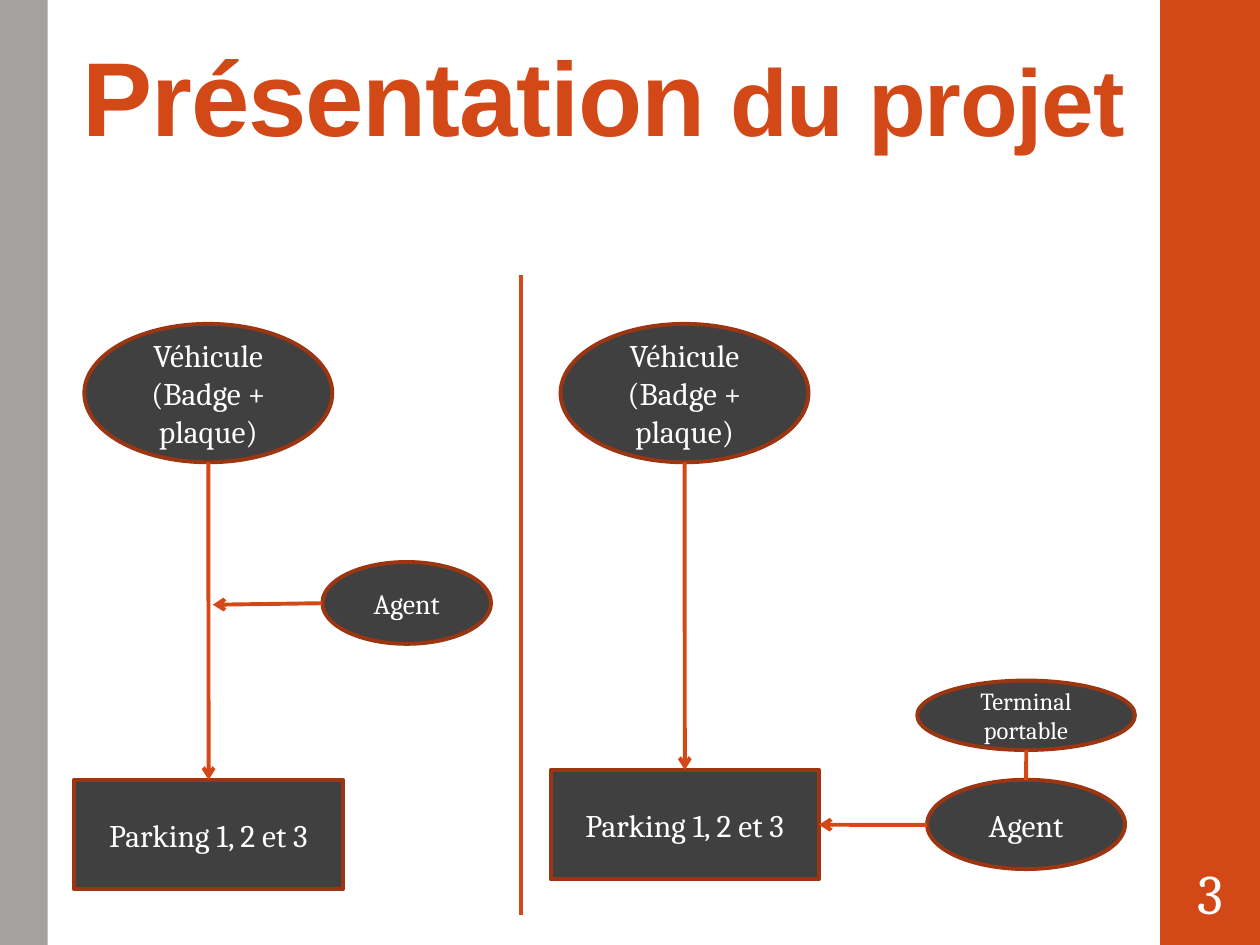
from lxml import etree
from pptx import Presentation
from pptx import util as u
from pptx.dml.color import RGBColor
from pptx.enum import shapes, text
from pptx.oxml.ns import qn

ORANGE, DARK, RUST, GREY, WHITE = "D34817", "404040", "9C3511", "A6A1A1", "FFFFFF"
OVAL, RECT = shapes.MSO_SHAPE.OVAL, shapes.MSO_SHAPE.RECTANGLE
VEHICLE = ["Véhicule", "(Badge + plaque)"]
PARKING = ["Parking 1, 2 et 3"]


def rgb(value):
    """Return the colour for a hex string."""
    return RGBColor.from_string(value)


def cm(*values):
    """Convert centimetres to lengths."""
    return [u.Cm(v) for v in values]


def write(tf, lines, size):
    """Write centred white Cambria paragraphs in a text frame."""
    tf.word_wrap = True
    tf.vertical_anchor = text.MSO_ANCHOR.MIDDLE
    for i, line in enumerate(lines):
        p = tf.add_paragraph() if i else tf.paragraphs[0]
        p.text = line
        p.alignment = text.PP_ALIGN.CENTER
        p.font.name, p.font.size = "Cambria", u.Pt(size)
        p.font.color.rgb = rgb(WHITE)


def add_bar(s, left, width, height, color):
    """Add a plain vertical side bar."""
    sp = s.shapes.add_shape(RECT, *cm(left, 0, width, height))
    sp.shadow.inherit = False
    sp.fill.solid()
    sp.fill.fore_color.rgb = rgb(color)
    sp.line.fill.background()


def add_node(s, kind, left, top, width, height, lines, size=18):
    """Add a dark labelled node of the diagram."""
    sp = s.shapes.add_shape(kind, *cm(left, top, width, height))
    sp.shadow.inherit = False
    sp.fill.solid()
    sp.fill.fore_color.rgb = rgb(DARK)
    sp.line.color.rgb = rgb(RUST)
    sp.line.width = u.Pt(2.25)
    write(sp.text_frame, lines, size)
    return sp


def add_line(s, x1, y1, x2, y2, arrow=True):
    """Add an orange line, with an arrowhead at its end if asked."""
    cx = s.shapes.add_connector(shapes.MSO_CONNECTOR.STRAIGHT, *cm(x1, y1, x2, y2))
    cx.line.color.rgb = rgb(ORANGE)
    cx.line.width = u.Pt(2.25)
    if arrow:
        etree.SubElement(cx.line._get_or_add_ln(), qn("a:tailEnd"), type="arrow")
    etree.SubElement(cx._element.spPr, qn("a:effectLst"))
    return cx


def add_title(s, left, top, width, height):
    """Place and fill the title placeholder."""
    sp = s.shapes.title
    sp.left, sp.top, sp.width, sp.height = cm(left, top, width, height)
    tf = sp.text_frame
    tf.auto_size = text.MSO_AUTO_SIZE.NONE
    tf.vertical_anchor = text.MSO_ANCHOR.BOTTOM
    p = tf.paragraphs[0]
    p.alignment, p.line_spacing = text.PP_ALIGN.CENTER, 0.9
    p.font.name, p.font.bold = "Arial", True
    p.font.color.rgb = rgb(ORANGE)
    for words, size in (("Présentation", 60), (" du projet", 54)):
        r = p.add_run()
        r.text = words
        r.font.size = u.Pt(size)
        r.font._element.set("spc", "-70")


def add_number(s, left, top, width, height):
    """Add the page number on the right bar."""
    tf = s.shapes.add_textbox(*cm(left, top, width, height)).text_frame
    tf.margin_left = tf.margin_right = u.Cm(0.08)
    write(tf, ["3"], 32)


def add_flow(s, left, top, drop):
    """Add a vehicle leading down to the car park, and return the car park."""
    add_node(s, OVAL, left + 0.2, top, 5, 2.79, VEHICLE)
    parking = add_node(s, RECT, left, top + drop, 5.41, 2.21, PARKING)
    add_line(s, left + 2.7, top + 2.79, left + 2.7, top + drop).end_connect(parking, 0)
    return parking


def add_manual_panel(s, left, top):
    """Add the flow checked by an agent on the way."""
    add_flow(s, left, top, 9.19)
    add_node(s, OVAL, left + 5, top + 4.8, 3.4, 1.65, ["Agent"], 16)
    add_line(s, left + 5, top + 5.63, left + 2.79, top + 5.66)


def add_terminal_panel(s, left, top):
    """Add the flow checked by an agent with a portable terminal."""
    parking = add_flow(s, left, top, 8.99)
    agent = add_node(s, OVAL, left + 7.59, top + 9.19, 3.99, 1.8, ["Agent"])
    add_line(s, left + 7.59, top + 10.1, left + 5.41, top + 10.1).end_connect(parking, 3)
    add_node(s, OVAL, left + 7.39, top + 7.19, 4.39, 1.4, ["Terminal portable"], 14)
    link = add_line(s, left + 9.59, top + 9.19, left + 9.59, top + 8.59, arrow=False)
    link.begin_connect(agent, 0)


def main():
    """Build the slide and save it."""
    prs = Presentation()
    prs.slide_width, prs.slide_height = cm(25.4, 19.05)
    s = prs.slides.add_slide(prs.slide_layouts[5])
    add_bar(s, 23.39, 2.01, 19.05, ORANGE)
    add_bar(s, 0, 0.96, 19.05, GREY)
    add_title(s, 0.89, 0, 22.56, 3.33)
    add_number(s, 23.44, 17.15, 1.91, 1.65)
    add_manual_panel(s, 1.5, 6.53)
    add_line(s, 10.5, 5.54, 10.5, 18.44, arrow=False)
    add_terminal_panel(s, 11.1, 6.53)
    prs.save("out.pptx")


if __name__ == "__main__":
    main()
